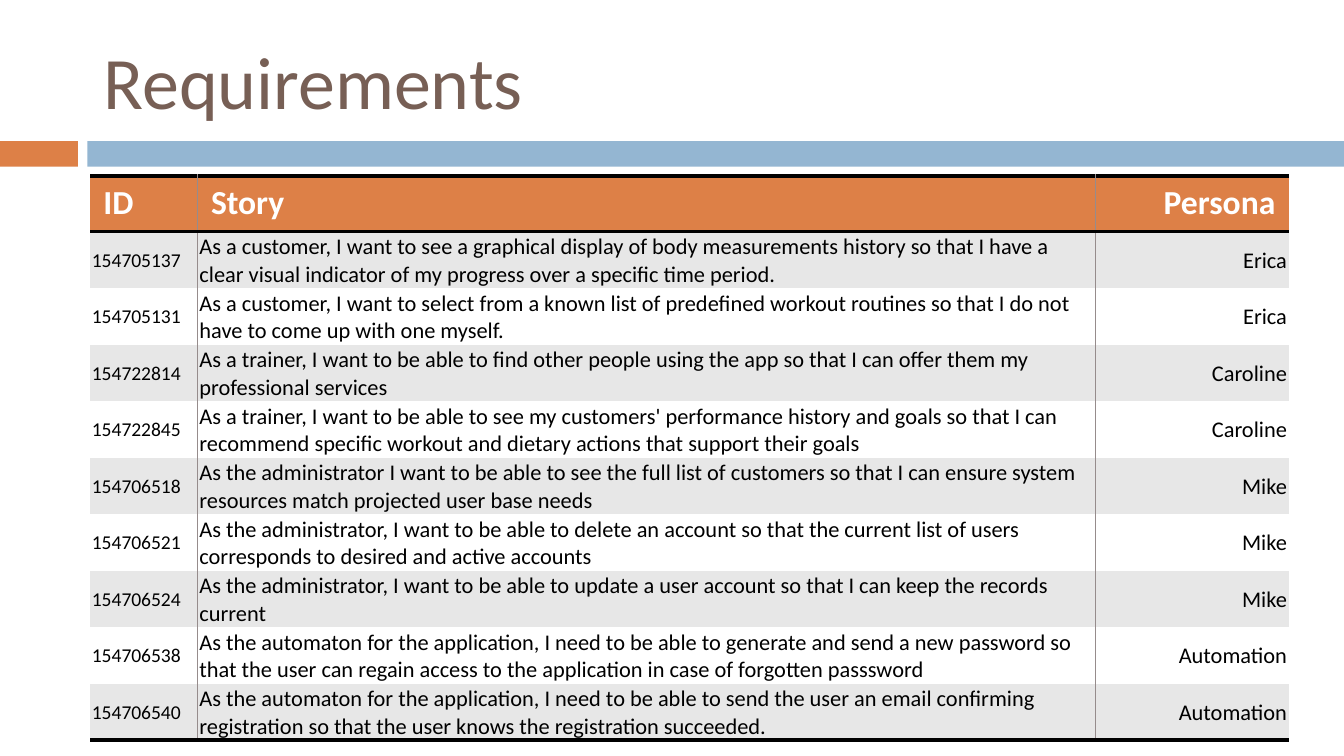
from lxml.etree import SubElement
from pptx import Presentation
from pptx.dml.color import RGBColor
from pptx.enum.shapes import MSO_SHAPE
from pptx.enum.text import MSO_ANCHOR, PP_ALIGN
from pptx.oxml.ns import qn
from pptx.util import Inches, Pt

ORANGE = RGBColor(0xDD, 0x80, 0x47)
BLUE = RGBColor(0x94, 0xB6, 0xD2)
BROWN = RGBColor(0x77, 0x5F, 0x55)
GRAY = RGBColor(0xE7, 0xE7, 0xE7)
RULE = RGBColor(0x96, 0x8C, 0x8C)
WHITE = RGBColor(0xFF, 0xFF, 0xFF)
BLACK = RGBColor(0, 0, 0)

HEADINGS = ("ID", "Story ", "Persona")
STORIES = [
    ("154705137", "As a customer, I want to see a graphical display of body measurements history "
     "so that I have a clear visual indicator of my progress over a specific time period.", "Erica"),
    ("154705131", "As a customer, I want to select from a known list of predefined workout routines "
     "so that I do not have to come up with one myself.", "Erica"),
    ("154722814", "As a trainer, I want to be able to find other people using the app "
     "so that I can offer them my professional services", "Caroline"),
    ("154722845", "As a trainer, I want to be able to see my customers' performance history and goals "
     "so that I can recommend specific workout and dietary actions that support their goals ", "Caroline"),
    ("154706518", "As the administrator I want to be able to see the full list of customers "
     "so that I can ensure system resources match projected user base needs", "Mike"),
    ("154706521", "As the administrator, I want to be able to delete an account "
     "so that the current list of users corresponds to desired and active accounts", "Mike"),
    ("154706524", "As the administrator, I want to be able to update a user account "
     "so that I can keep the records current", "Mike"),
    ("154706538", "As the automaton for the application, I need to be able to generate and send a new password "
     "so that the user can regain access to the application in case of forgotten passsword", "Automation"),
    ("154706540", "As the automaton for the application, I need to be able to send the user an email confirming "
     "registration so that the user knows the registration succeeded.", "Automation"),
]
COLUMN_WIDTHS = (0.8, 6.68, 1.44)
BODY_SIZES = (10.5, 12, 12)
ALIGNMENTS = (PP_ALIGN.LEFT, PP_ALIGN.LEFT, PP_ALIGN.RIGHT)


def write_text(frame, text, size, color=BLACK, bold=False, align=PP_ALIGN.LEFT):
    para = frame.paragraphs[0]
    para.alignment = align
    span = para.add_run()
    span.text = text
    span.font.name = "Calibri"
    span.font.size = Pt(size)
    span.font.bold = bold
    span.font.color.rgb = color


def set_borders(cell, borders):
    properties = cell._tc.get_or_add_tcPr()
    for position, side in enumerate("LRTB"):
        line = SubElement(properties, qn(f"a:ln{side}"))
        properties.insert(position, line)
        if side in borders:
            color, width = borders[side]
            line.set("w", str(Pt(width)))
            fill = SubElement(line, qn("a:solidFill"))
            SubElement(fill, qn("a:srgbClr"), val=str(color))
        else:
            line.set("w", "0")
            SubElement(line, qn("a:noFill"))


def add_title(page, text, left, top, width, height):
    title = page.shapes.title
    title.left, title.top = Inches(left), Inches(top)
    title.width, title.height = Inches(width), Inches(height)
    title.text_frame.word_wrap = True
    title.text_frame.vertical_anchor = MSO_ANCHOR.MIDDLE
    write_text(title.text_frame, text, size=39.6, color=BROWN)


def add_band(page, left, top, width, height, accent=0.58, gap=0.07):
    rest = accent + gap
    for offset, length, color in ((0, accent, ORANGE), (rest, width - rest, BLUE)):
        bar = page.shapes.add_shape(MSO_SHAPE.RECTANGLE, Inches(left + offset), Inches(top),
                                    Inches(length), Inches(height))
        bar.shadow.inherit = False
        bar.fill.solid()
        bar.fill.fore_color.rgb = color
        bar.line.fill.background()


def add_story_table(page, left, top, width, height):
    rows = [HEADINGS, *STORIES]
    last_row, last_column = len(rows) - 1, len(HEADINGS) - 1
    table = page.shapes.add_table(len(rows), len(HEADINGS), Inches(left), Inches(top),
                                  Inches(width), Inches(height)).table
    for column, share in zip(table.columns, COLUMN_WIDTHS):
        column.width = Inches(width * share / sum(COLUMN_WIDTHS))
    for row_index, row in enumerate(rows):
        header = row_index == 0
        for column_index, text in enumerate(row):
            cell = table.cell(row_index, column_index)
            cell.fill.solid()
            cell.fill.fore_color.rgb = ORANGE if header else GRAY if row_index % 2 else WHITE
            align = ALIGNMENTS[column_index]
            if header:
                write_text(cell.text_frame, text, size=18, color=WHITE, bold=True, align=align)
            else:
                cell.margin_left = cell.margin_top = cell.margin_right = Pt(1)
                cell.margin_bottom = 0
                cell.vertical_anchor = MSO_ANCHOR.MIDDLE
                write_text(cell.text_frame, text, size=BODY_SIZES[column_index], align=align)
            borders = {}
            if column_index > 0:
                borders["L"] = (RULE, 1)
            if column_index < last_column:
                borders["R"] = (RULE, 1)
            if row_index <= 1:
                borders["T"] = (BLACK, 2)
            if row_index in (0, last_row):
                borders["B"] = (BLACK, 2)
            set_borders(cell, borders)


def build_requirements_page(deck):
    page = deck.slides.add_slide(deck.slide_layouts[5])
    add_band(page, 0, 1.05, 10, 0.19)
    add_title(page, "Requirements", 0.67, 0.19, 8.92, 0.81)
    add_story_table(page, 0.67, 1.31, 8.92, 4.13)


deck = Presentation()
deck.slide_width = Inches(10)
deck.slide_height = Inches(10 * 9 / 16)
build_requirements_page(deck)
deck.save("out.pptx")
